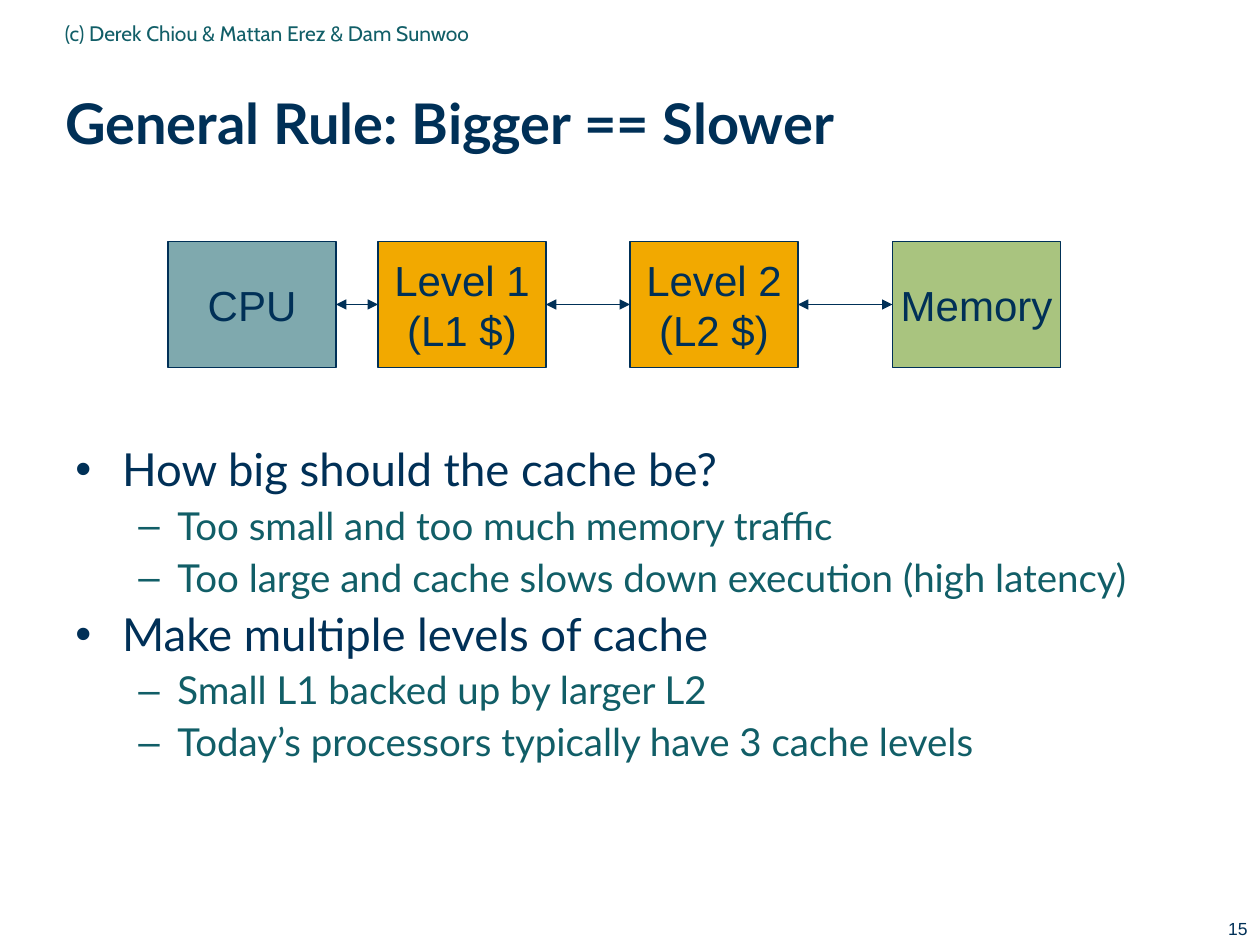
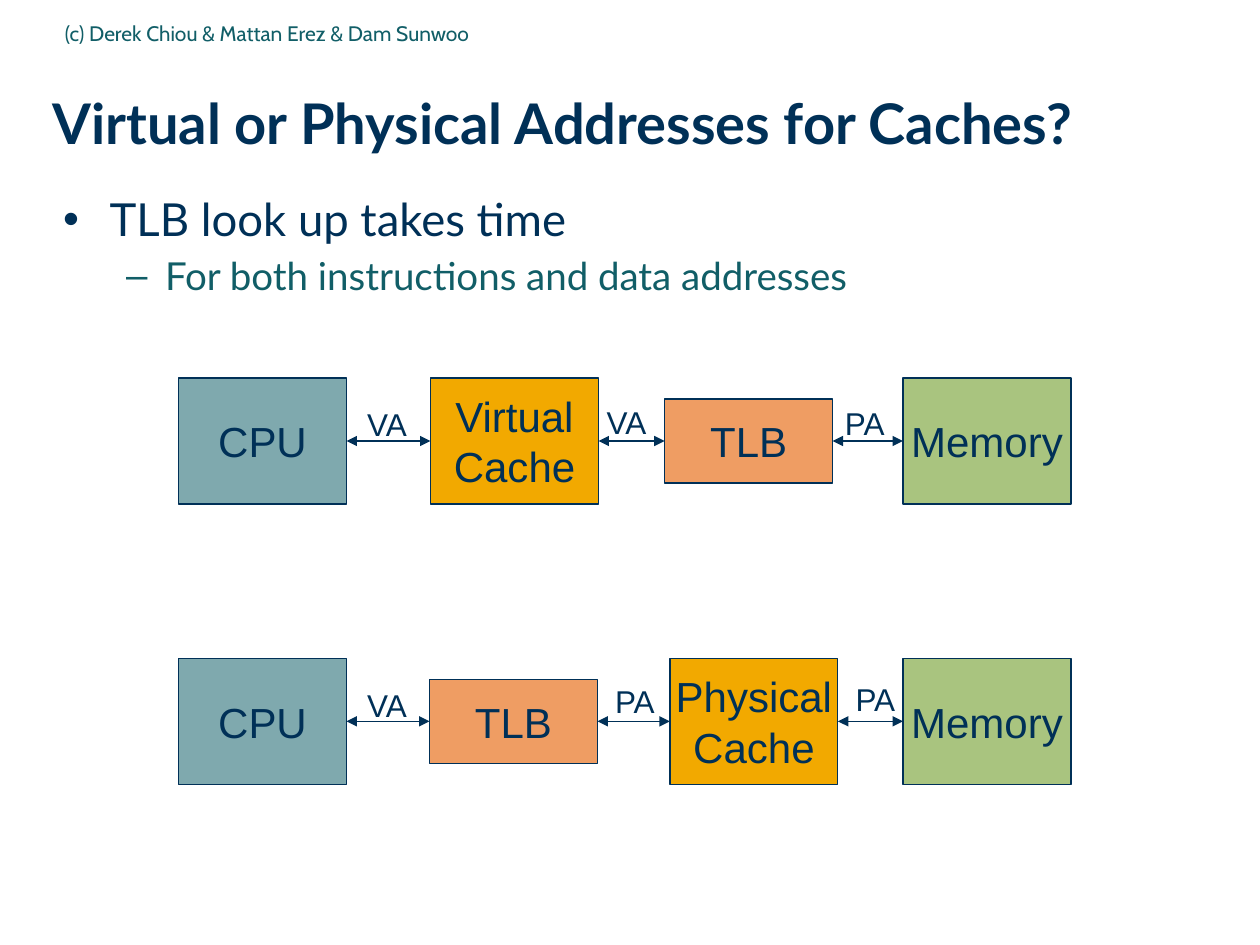
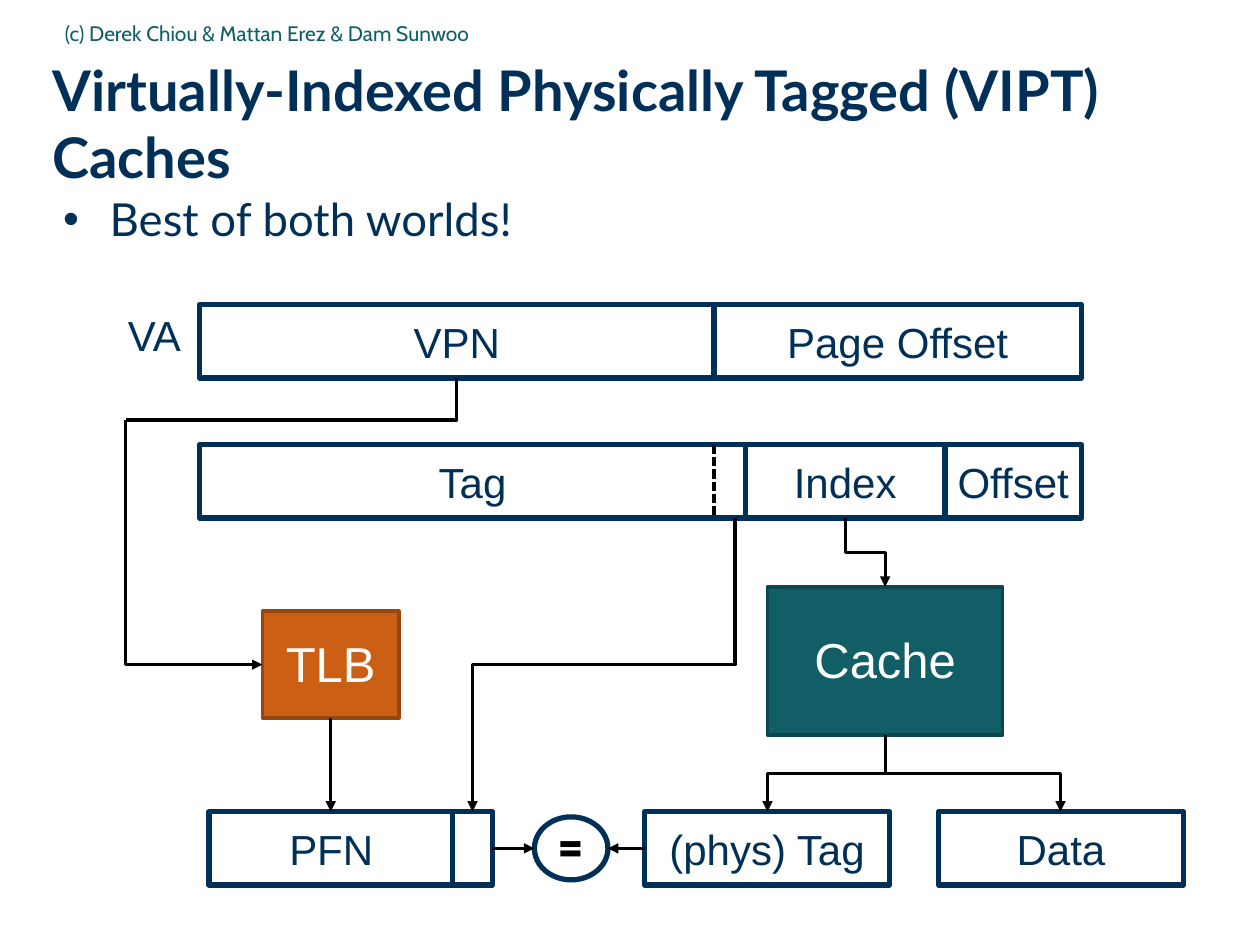
from lxml import etree
from pptx import Presentation
from pptx.dml.color import RGBColor
from pptx.enum.dml import MSO_LINE
from pptx.enum.shapes import MSO_CONNECTOR, MSO_SHAPE
from pptx.enum.text import MSO_ANCHOR, MSO_AUTO_SIZE, PP_ALIGN
from pptx.oxml.ns import qn
from pptx.util import Inches, Pt

RECTANGLE, OVAL = MSO_SHAPE.RECTANGLE, MSO_SHAPE.OVAL
STRAIGHT, ELBOW = MSO_CONNECTOR.STRAIGHT, MSO_CONNECTOR.ELBOW
LEFT, CENTER, RIGHT = PP_ALIGN.LEFT, PP_ALIGN.CENTER, PP_ALIGN.RIGHT
TOP, MIDDLE = MSO_ANCHOR.TOP, MSO_ANCHOR.MIDDLE
NO_FIT, FIT_SHAPE = MSO_AUTO_SIZE.NONE, MSO_AUTO_SIZE.SHAPE_TO_FIT_TEXT
DASHED = MSO_LINE.SQUARE_DOT
LEFT_SIDE, BOTTOM_SIDE, RIGHT_SIDE = 1, 2, 3

# Shared style
NAVY, TEAL, BLACK, WHITE = "003057", "115E67", "000000", "FFFFFF"
CPU_BLUE, CACHE_GOLD, TLB_PEACH, MEMORY_GREEN = "7FA9AE", "F2A900", "EF9D63", "A9C47F"
TLB_ORANGE, TLB_EDGE, CACHE_EDGE = "CB6015", "964710", "0D464C"
COPYRIGHT = "(c) Derek Chiou & Mattan Erez & Dam Sunwoo"
# Per level: bullet, left margin, hanging indent, size, colour, space before
BULLETS = [("•", 0.37, 0.37, 26, NAVY, 6.5), ("–", 0.81, 0.31, 22, TEAL, 6)]

# The page is a grid of 120 columns by 90 rows
COLUMNS, ROWS = 120, 90
BLOCK_WIDTH, BLOCK_HEIGHT, TLB_HEIGHT = 16, 12, 8


def cells(count):
    return Inches(count * 10 / COLUMNS)


def color(hex_string):
    return RGBColor.from_string(hex_string)


class Deck:
    def __init__(self):
        self.deck = Presentation()
        self.deck.slide_width, self.deck.slide_height = cells(COLUMNS), cells(ROWS)
        self.page = None

    def new_page(self, title, inset=0):
        self.page = self.deck.slides.add_slide(self.deck.slide_layouts[5])
        box = self.page.shapes.title
        box.left, box.top, box.width, box.height = map(cells, (5, 6, 113, 11.8))
        self.set_text(box, title, 32, font="Lato", align=LEFT, bold=True,
                      inset=inset, spacing=0.99)
        self.text(COPYRIGHT, 5, 0.4, 68, 5.5, 12, TEAL, font="Cabin", anchor=MIDDLE)

    def set_text(self, box, text, size, ink=NAVY, font="Arial", align=CENTER,
                 anchor=MIDDLE, bold=False, wrap=True, inset=None, spacing=None):
        frame = box.text_frame
        frame.text = text
        frame.auto_size, frame.word_wrap = NO_FIT, wrap
        frame.vertical_anchor = anchor
        if inset is not None:
            self.set_insets(frame, inset)
        for para in frame.paragraphs:
            para.alignment = align
            if spacing:
                para.line_spacing = spacing
            self.set_font(para, size, ink, font, bold)

    def set_insets(self, frame, inset):
        frame.margin_left = frame.margin_right = Inches(inset)
        frame.margin_top = frame.margin_bottom = Inches(inset / 2)

    def set_font(self, para, size, ink, font, bold=False):
        para.font.size, para.font.name, para.font.bold = Pt(size), font, bold
        para.font.color.rgb = color(ink)

    def text(self, text, left, top, width, height, size, ink=NAVY, font="Arial",
             align=LEFT, anchor=TOP):
        box = self.page.shapes.add_textbox(*map(cells, (left, top, width, height)))
        self.set_text(box, text, size, ink, font, align, anchor)
        return box

    def label(self, text, left, top, width=6.2, height=4.8, size=18):
        box = self.text(text, left, top, width, height, size)
        box.text_frame.word_wrap = False
        box.text_frame.auto_size = FIT_SHAPE

    def bullets(self, items, top, inset=0):
        box = self.page.shapes.add_textbox(*map(cells, (6, top, 112, ROWS - top - 0.2)))
        frame = box.text_frame
        frame.word_wrap = True
        self.set_insets(frame, inset)
        for number, (level, text) in enumerate(items):
            mark, margin, hanging, size, ink, before = BULLETS[level]
            para = frame.add_paragraph() if number else frame.paragraphs[0]
            para.text, para.level = text, level
            para.line_spacing, para.space_before = 0.9, Pt(before)
            props = para._p.get_or_add_pPr()
            props.set("marL", str(Inches(margin)))
            props.set("indent", str(-Inches(hanging)))
            bullet_color = etree.SubElement(props, qn("a:buClr"))
            etree.SubElement(bullet_color, qn("a:srgbClr"), val=ink)
            etree.SubElement(props, qn("a:buFont"), typeface="Arial")
            etree.SubElement(props, qn("a:buChar"), char=mark)
            self.set_font(para, size, ink, "Lato")

    def shape(self, text, left, top, width, height, fill=WHITE, edge=NAVY, weight=3,
              kind=RECTANGLE, size=24, **style):
        box = self.page.shapes.add_shape(kind, *map(cells, (left, top, width, height)))
        box.shadow.inherit = False
        if fill:
            box.fill.solid()
            box.fill.fore_color.rgb = color(fill)
        else:
            box.fill.background()
        box.line.color.rgb, box.line.width = color(edge), Pt(weight)
        if text:
            self.set_text(box, text, size, **{"wrap": False, **style})
        return box

    def finish_line(self, line, ink, weight, head=False, tail=False):
        line.line.color.rgb, line.line.width = color(ink), Pt(weight)
        props = line._element.spPr
        outline = props.find(qn("a:ln"))
        for end, wanted in (("a:headEnd", head), ("a:tailEnd", tail)):
            if wanted:
                etree.SubElement(outline, qn(end), type="triangle")
        etree.SubElement(props, qn("a:effectLst"))

    def line(self, x1, y1, x2, y2, start=None, end=None, ink=BLACK, weight=1.75,
             head=False, tail=True, dash=None):
        """Straight line; start and end are optional (shape, side) joints."""
        line = self.page.shapes.add_connector(STRAIGHT, *map(cells, (x1, y1, x2, y2)))
        if start:
            line.begin_connect(*start)
        if end:
            line.end_connect(*end)
        if dash:
            line.line.dash_style = dash
        self.finish_line(line, ink, weight, head, tail)

    def elbow(self, x1, y1, x2, y2, corner=False, tail=True):
        """Bent line that leaves downwards: a turned horizontal connector."""
        span, drop = abs(x2 - x1), y2 - y1
        left, top = (x1 + x2 - drop) / 2, (y1 + y2 - span) / 2
        ends = [left, left + drop]
        rightward = x2 > x1
        if rightward:
            ends.reverse()
        line = self.page.shapes.add_connector(
            ELBOW, *map(cells, (ends[0], top, ends[1], top + span)))
        props = line._element.spPr
        props.find(qn("a:xfrm")).set("rot", str((270 if rightward else 90) * 60000))
        if corner:
            props.find(qn("a:prstGeom")).set("prst", "bentConnector2")
        self.finish_line(line, BLACK, 1.75, tail=tail)

    def chain(self, middle, blocks):
        """Row of blocks centred on one row, joined by double arrows."""
        previous = None
        for text, left, fill in blocks:
            height = TLB_HEIGHT if text == "TLB" else BLOCK_HEIGHT
            box = self.shape(text, left, middle - height / 2, BLOCK_WIDTH, height,
                             fill, weight=0.75)
            if previous:
                self.line(0, middle, left, middle, (previous, RIGHT_SIDE),
                          (box, LEFT_SIDE), NAVY, 0.75, head=True)
            previous = box


def cache_levels(deck):
    deck.new_page("General Rule: Bigger == Slower", inset=0.1)
    deck.bullets([
        (0, "How big should the cache be?"),
        (1, "Too small and too much memory traffic"),
        (1, "Too large and cache slows down execution (high latency)"),
        (0, "Make multiple levels of cache"),
        (1, "Small L1 backed up by larger L2"),
        (1, "Today’s processors typically have 3 cache levels"),
    ], top=42, inset=0.1)
    deck.text("15", 92, 86.8, 28, 3.2, 10, align=RIGHT)
    deck.chain(29, [("CPU", 16, CPU_BLUE), ("Level 1\n(L1 $)", 36, CACHE_GOLD),
                    ("Level 2\n(L2 $)", 60, CACHE_GOLD), ("Memory", 85, MEMORY_GREEN)])


def cache_addresses(deck):
    deck.new_page("Virtual or Physical Addresses for Caches?")
    deck.bullets([(0, "TLB look up takes time"),
                  (1, "For both instructions and data addresses")], top=18.8)
    cpu, memory = ("CPU", 17, CPU_BLUE), ("Memory", 86, MEMORY_GREEN)
    deck.chain(42, [cpu, ("Virtual\nCache", 41, CACHE_GOLD),
                    ("TLB", 63.3, TLB_PEACH), memory])
    deck.chain(68.7, [cpu, ("TLB", 40.9, TLB_PEACH),
                      ("Physical\nCache", 63.8, CACHE_GOLD), memory])
    for text, left, top in [("VA", 33.8, 38), ("VA", 56.6, 37.8), ("PA", 79.3, 37.9),
                            ("VA", 33.8, 64.7), ("PA", 57.4, 64.4), ("PA", 80.3, 64.2)]:
        deck.label(text, left, top)


def vipt_cache(deck):
    deck.new_page("Virtually-Indexed Physically Tagged (VIPT) Caches")
    deck.bullets([(0, "Best of both worlds!")], top=18.8)

    # Address fields
    field_height, address_top, tag_top, result_top = 7, 29, 42.35, 77.3
    result_middle = result_top + field_height / 2
    fields = {}
    for text, left, top, width in [
            ("Tag", 19, tag_top, 52), ("Index", 71, tag_top, 19),
            ("Offset", 90, tag_top, 13), ("VPN", 19, address_top, 49),
            ("Page Offset", 68, address_top, 35), ("PFN", 19.9, result_top, 23.3),
            ("(phys) Tag", 61.4, result_top, 23.3), ("Data", 89.4, result_top, 23.3),
            ("", 43.1, result_top, 3.8)]:
        fields[text] = deck.shape(text, left, top, width, field_height)
    deck.label("VA", 11, 28.9, 7.6, 6, size=24)

    # Lookup blocks and comparator
    block_style = dict(size=28, wrap=True, inset=0, spacing=0.99)
    tlb = deck.shape("TLB", 25, 58.2, 13, 10.2, TLB_ORANGE, TLB_EDGE, 2,
                     ink=WHITE, **block_style)
    deck.shape("Cache", 73.1, 55.9, 22.4, 14.1, TEAL, CACHE_EDGE, 2,
               ink=WHITE, **block_style)
    deck.shape("=", 50.9, result_middle - 3, 7, 6, fill=None, kind=OVAL,
               ink=BLACK, font="League Spartan", bold=True, **block_style)

    # Data flow
    tag_bottom, tlb_middle, cache_middle = tag_top + field_height, 63.3, 84.3
    deck.elbow(43.5, address_top + field_height, 12, 40, corner=True, tail=False)
    deck.elbow(12, 40, 25, tlb_middle, corner=True)
    deck.elbow(80.5, tag_bottom, cache_middle, 55.9)
    deck.elbow(cache_middle, 70, 101, result_top)
    deck.elbow(cache_middle, 70, 73.1, result_top)
    deck.elbow(70, tag_bottom, 45, result_top)
    deck.line(68, tag_top, 68, tag_bottom, tail=False, dash=DASHED)
    deck.line(31.5, 68.4, 31.5, result_top, start=(tlb, BOTTOM_SIDE))
    deck.line(46.9, result_middle, 50.9, result_middle, start=(fields[""], RIGHT_SIDE))
    deck.line(61.4, result_middle, 57.9, result_middle,
              start=(fields["(phys) Tag"], LEFT_SIDE))


def main():
    deck = Deck()
    cache_levels(deck)
    cache_addresses(deck)
    vipt_cache(deck)
    deck.deck.save("out.pptx")


if __name__ == "__main__":
    main()
